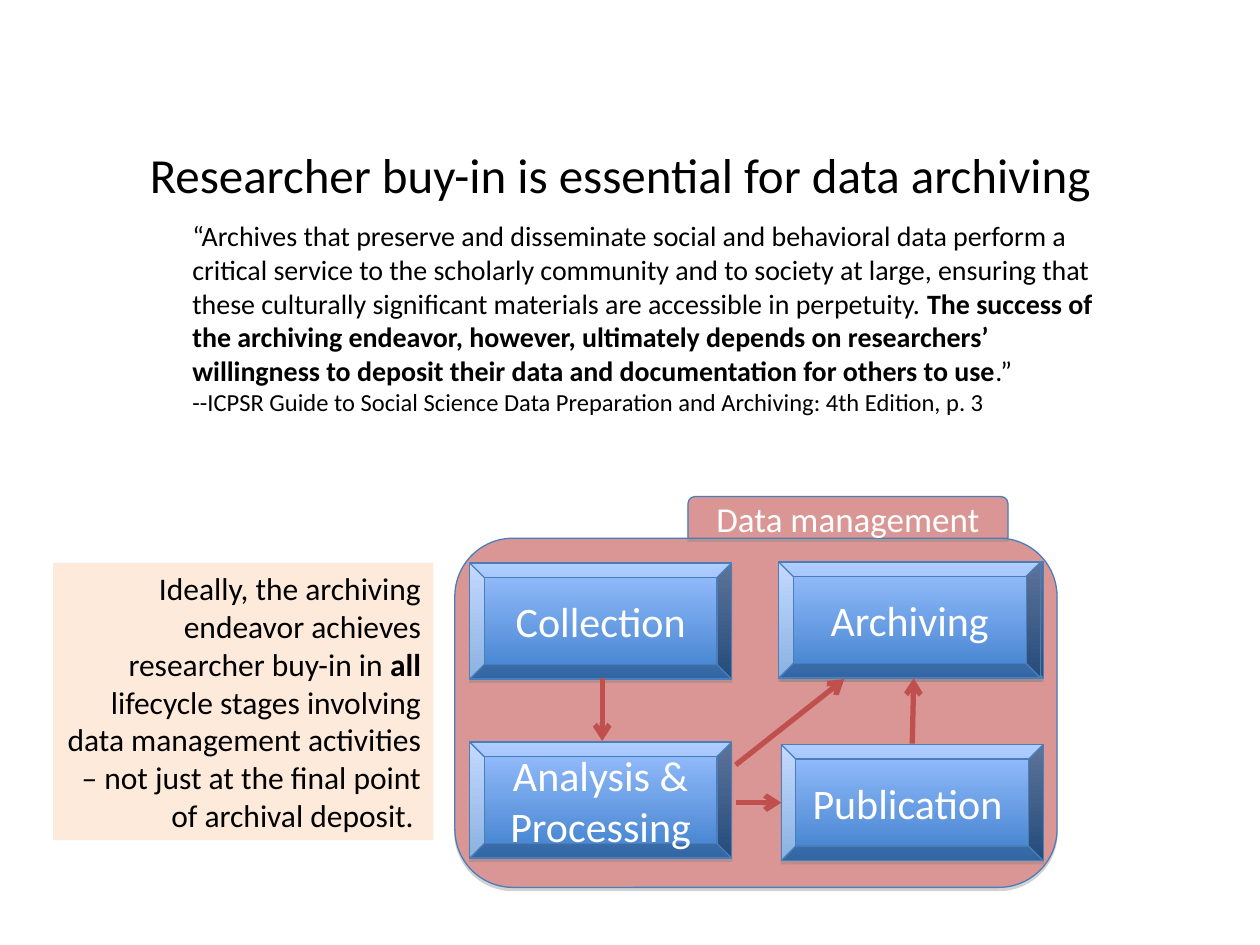
from lxml.etree import SubElement
from pptx import Presentation
from pptx.dml.color import RGBColor
from pptx.enum.shapes import MSO_CONNECTOR, MSO_SHAPE
from pptx.enum.text import MSO_ANCHOR, PP_ALIGN
from pptx.oxml.ns import qn
from pptx.util import Cm, Pt

COLORS = {
    "text": "000000",
    "light_text": "FFFFFF",
    "management": "D99694",
    "outline": "4A7EBB",
    "stage_top": "9BC1FF",
    "stage_bottom": "3F80CD",
    "arrow": "C0504D",
    "note": "FDEADA",
    "shadow": "808080",
}
STAGE_WIDTH, STAGE_HEIGHT = 5.28, 2.34


def rgb(name):
    return RGBColor.from_string(COLORS[name])


class SlideBuilder:
    font_name = "Calibri"

    def __init__(self, slide):
        self.shapes = slide.shapes

    def fill_text(self, shape, paragraphs, color="text", align=PP_ALIGN.LEFT, anchor=MSO_ANCHOR.TOP):
        frame = shape.text_frame
        frame.word_wrap = True
        frame.vertical_anchor = anchor
        for index, (size, pieces) in enumerate(paragraphs):
            paragraph = frame.add_paragraph() if index else frame.paragraphs[0]
            paragraph.alignment = align
            for text, bold in pieces:
                run = paragraph.add_run()
                run.text = text
                run.font.name = self.font_name
                run.font.size = Pt(size)
                run.font.bold = bold
                run.font.color.rgb = rgb(color)

    def text(self, box, paragraphs):
        self.fill_text(self.shapes.add_textbox(*map(Cm, box)), paragraphs)

    def shape(self, kind, box, fill=None):
        shape = self.shapes.add_shape(kind, *map(Cm, box))
        shape.shadow.inherit = False
        if fill:
            shape.fill.solid()
            shape.fill.fore_color.rgb = rgb(fill)
        return shape

    def note(self, box, paragraphs):
        note = self.shape(MSO_SHAPE.RECTANGLE, box, "note")
        note.line.fill.background()
        self.fill_text(note, paragraphs, align=PP_ALIGN.RIGHT)

    def raised(self, kind, box, fill=None, label="", size=24):
        shape = self.shape(kind, box, fill)
        shape.line.color.rgb = rgb("outline")
        shape.line.width = Pt(0.75)
        effects = shape._element.spPr.find(qn("a:effectLst"))
        shadow = SubElement(effects, qn("a:outerShdw"), dist="23000", dir="5400000", rotWithShape="0")
        shade = SubElement(shadow, qn("a:srgbClr"), val=COLORS["shadow"])
        SubElement(shade, qn("a:alpha"), val="35000")
        if label:
            self.fill_text(shape, [(size, [(label, False)])], "light_text",
                           PP_ALIGN.CENTER, MSO_ANCHOR.MIDDLE)
        return shape

    def stage(self, left, top, label=""):
        stage = self.raised(MSO_SHAPE.BEVEL, (left, top, STAGE_WIDTH, STAGE_HEIGHT), label=label)
        stage.fill.gradient()
        stage.fill.gradient_angle = 270
        for stop, name in zip(stage.fill.gradient_stops, ("stage_top", "stage_bottom")):
            stop.color.rgb = rgb(name)

    def arrow(self, *ends):
        arrow = self.shapes.add_connector(MSO_CONNECTOR.STRAIGHT, *map(Cm, ends))
        arrow.line.color.rgb = rgb("arrow")
        arrow.line.width = Pt(3)
        properties = arrow._element.spPr
        SubElement(properties.find(qn("a:ln")), qn("a:tailEnd"), type="arrow")
        SubElement(properties, qn("a:effectLst"))


def main():
    presentation = Presentation()
    presentation.slide_width = Cm(25.4)
    presentation.slide_height = Cm(19.05)
    builder = SlideBuilder(presentation.slides.add_slide(presentation.slide_layouts[6]))

    builder.raised(MSO_SHAPE.ROUNDED_RECTANGLE, (9.17, 10.85, 12.14, 7.04), "management")
    builder.raised(MSO_SHAPE.ROUND_2_SAME_RECTANGLE, (13.87, 10.01, 6.45, 0.84),
                   "management", "Data management", 20)

    for left, top, label in (
        (9.47, 11.35, "Collection"),
        (9.47, 14.96, "Analysis & Processing"),
        (15.75, 15.01, "Publication "),
        (15.75, 11.33, ""),
        (15.7, 11.33, "Archiving"),
    ):
        builder.stage(left, top, label)

    for ends in (
        (12.14, 13.67, 12.14, 14.94),
        (14.83, 16.18, 15.75, 16.18),
        (14.83, 15.42, 17.02, 13.69),
        (18.39, 14.99, 18.42, 13.67),
    ):
        builder.arrow(*ends)

    builder.text((2.77, 2.79, 20.37, 1.45), [
        (28, [("Researcher buy-in is essential for data archiving", False)]),
    ])
    builder.text((3.63, 4.29, 18.67, 4.93), [
        (16, [
            ("“Archives that preserve and disseminate social and behavioral data perform a critical "
             "service to the scholarly community and to society at large, ensuring that these "
             "culturally significant materials are accessible in perpetuity. ", False),
            ("The success of the archiving endeavor, however, ultimately depends on researchers’ "
             "willingness to deposit their data and documentation for others to use", True),
            (".”", False),
        ]),
        (14, [("--ICPSR Guide to Social Science Data Preparation and Archiving: 4th Edition, p. 3", False)]),
    ])
    builder.note((1.07, 11.35, 7.67, 5.59), [
        (18, [
            ("Ideally, the archiving endeavor achieves researcher buy-in in ", False),
            ("all", True),
            (" lifecycle stages involving data management activities – not just at the final "
             "point of archival deposit. ", False),
        ]),
    ])

    presentation.save("out.pptx")


if __name__ == "__main__":
    main()
